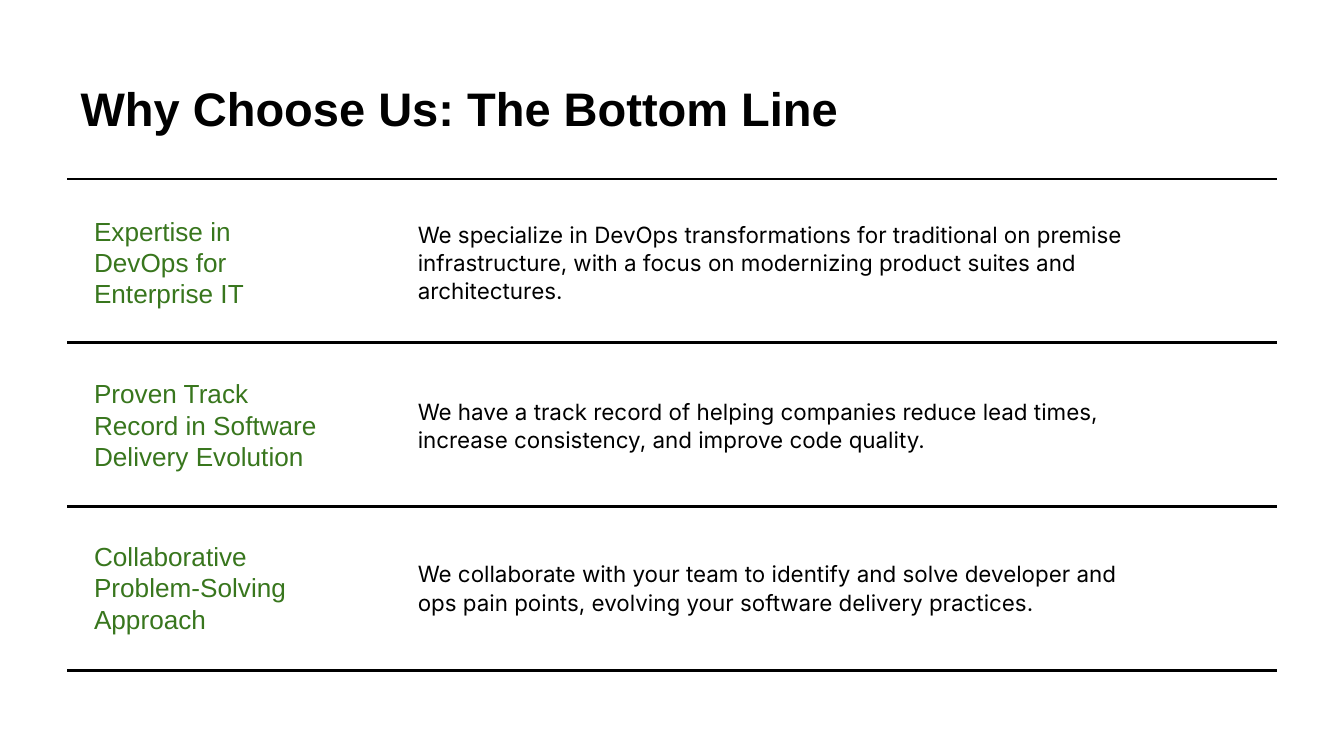
from dataclasses import dataclass

import pptx
import pptx.dml.color
import pptx.enum.text
import pptx.oxml
import pptx.oxml.ns
import pptx.util
from pptx.util import Inches

COLORS = {"text": "000000", "reason": "38761D", "rule": "000000"}
SLIDE_WIDTH = 10
SLIDE_HEIGHT = SLIDE_WIDTH * 9 / 16
LEFT, TABLE_TOP, ROW_HEIGHT = 0.5, 1.33, 1.22
COLUMN_WIDTHS = (2.27, 6.73)
TEXT_TOP, TEXT_STEP, TEXT_HEIGHT = 1.41, 1.21, 1.08


@dataclass(frozen=True)
class TextStyle:
    font: str
    size: float
    color: str
    bold: bool = False
    left_inset: float = 0.1
    line_spacing: float = 1.0
    space_after: float = 0


@dataclass(frozen=True)
class Reason:
    heading: str
    detail: str


TITLE = TextStyle("Arial", 25.2, "text", bold=True)
HEADING = TextStyle("Arial", 14, "reason", left_inset=0.2, space_after=10)
DETAIL = TextStyle("Inter", 12, "text", line_spacing=1.05, space_after=10)

REASONS = [
    Reason("Expertise in DevOps for Enterprise IT",
           "We specialize in DevOps transformations for traditional on premise "
           "infrastructure, with a focus on modernizing product suites and architectures."),
    Reason("Proven Track Record in Software Delivery Evolution",
           "We have a track record of helping companies reduce lead times, "
           "increase consistency, and improve code quality."),
    Reason("Collaborative Problem-Solving Approach",
           "We collaborate with your team to identify and solve developer and ops "
           "pain points, evolving your software delivery practices."),
]


def write_text(shape, text: str, style: TextStyle) -> None:
    frame = shape.text_frame
    frame.word_wrap = True
    frame.auto_size = pptx.enum.text.MSO_AUTO_SIZE.NONE
    frame.vertical_anchor = pptx.enum.text.MSO_ANCHOR.MIDDLE
    frame.margin_left = Inches(style.left_inset)
    frame.margin_right = frame.margin_top = frame.margin_bottom = Inches(0.1)
    paragraph = frame.paragraphs[0]
    paragraph.alignment = pptx.enum.text.PP_ALIGN.LEFT
    paragraph.line_spacing = style.line_spacing
    paragraph.space_after = pptx.util.Pt(style.space_after)
    run = paragraph.add_run()
    run.text = text
    run.font.name = style.font
    run.font.size = pptx.util.Pt(style.size)
    run.font.bold = style.bold
    run.font.color.rgb = pptx.dml.color.RGBColor.from_string(COLORS[style.color])


def add_text(slide, left: float, top: float, width: float, text: str, style: TextStyle) -> None:
    box = slide.shapes.add_textbox(Inches(left), Inches(top), Inches(width), Inches(TEXT_HEIGHT))
    write_text(box, text, style)


def set_cell_rules(cell) -> None:
    """Clear the fill and rule only the top and bottom edges."""
    cell.fill.background()
    properties = cell._tc.get_or_add_tcPr()
    rule = f'<a:solidFill><a:srgbClr val="{COLORS["rule"]}"/></a:solidFill>'
    edges = {"lnL": "<a:noFill/>", "lnR": "<a:noFill/>", "lnT": rule, "lnB": rule}
    for position, (edge, paint) in enumerate(edges.items()):
        line = f'<a:{edge} {pptx.oxml.ns.nsdecls("a")} w="{pptx.util.Pt(1.5)}">{paint}</a:{edge}>'
        properties.insert(position, pptx.oxml.parse_xml(line))


def add_ruled_table(slide) -> None:
    table = slide.shapes.add_table(
        len(REASONS), len(COLUMN_WIDTHS), Inches(LEFT), Inches(TABLE_TOP),
        Inches(sum(COLUMN_WIDTHS)), Inches(ROW_HEIGHT * len(REASONS))).table
    table.first_row = table.horz_banding = False
    for column, width in zip(table.columns, COLUMN_WIDTHS):
        column.width = Inches(width)
    for row in table.rows:
        row.height = Inches(ROW_HEIGHT)
        for cell in row.cells:
            set_cell_rules(cell)


def main() -> None:
    deck = pptx.Presentation()
    deck.slide_width, deck.slide_height = Inches(SLIDE_WIDTH), Inches(SLIDE_HEIGHT)
    slide = deck.slides.add_slide(deck.slide_layouts[5])

    # Title
    title = slide.shapes.title
    title.left, title.top = Inches(LEFT), Inches(0.49)
    title.width, title.height = Inches(9), Inches(0.63)
    write_text(title, "Why Choose Us: The Bottom Line", TITLE)

    # Ruled rows with a heading and a detail in each
    add_ruled_table(slide)
    for index, reason in enumerate(REASONS):
        top = TEXT_TOP + index * TEXT_STEP
        add_text(slide, LEFT, top, 2, reason.heading, HEADING)
        add_text(slide, 3.01, top, 5.49, reason.detail, DETAIL)

    deck.save("out.pptx")


if __name__ == "__main__":
    main()
